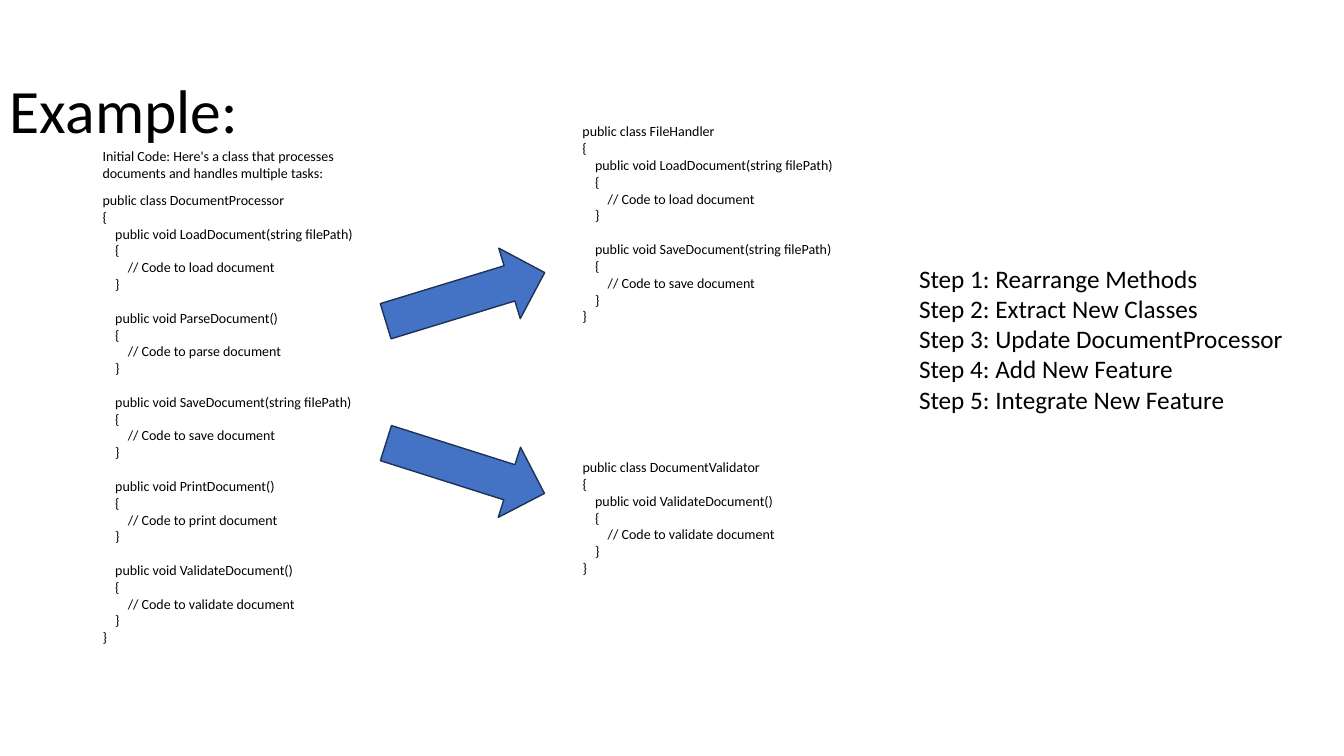
from pptx import Presentation
from pptx.dml.color import RGBColor
from pptx.enum import shapes, text
from pptx.util import Pt

# Content
TITLE = "Example:"
INTRO = "Initial Code: Here's a class that processes documents and handles multiple tasks:"
LOAD = ("LoadDocument(string filePath)", "load")
PARSE = ("ParseDocument()", "parse")
SAVE = ("SaveDocument(string filePath)", "save")
PRINT = ("PrintDocument()", "print")
VALIDATE = ("ValidateDocument()", "validate")
# class name, methods, box (left, top, width, height)
CLASSES = [
    ("DocumentProcessor", [LOAD, PARSE, SAVE, PRINT, VALIDATE], (66.2, 133.2, 224.6, 334)),
    ("FileHandler", [LOAD, SAVE], (409, 84.2, 208.8, 152.6)),
    ("DocumentValidator", [VALIDATE], (409, 324, 179.3, 92.2)),
]
STEPS = [
    "Rearrange Methods",
    "Extract New Classes",
    "Update DocumentProcessor",
    "Add New Feature",
    "Integrate New Feature",
]
ARROWS = [(185.8, 343), (308.2, 17.6)]  # top, rotation

FONT = "Calibri"
BLACK = RGBColor(0x00, 0x00, 0x00)
BLUE = RGBColor(0x44, 0x72, 0xC4)
NAVY = RGBColor(0x1E, 0x32, 0x56)
CODE_SIZE = 10
METHOD_GAP = 12  # one line of code

prs = Presentation()
prs.slide_width, prs.slide_height = Pt(960), Pt(540)
s = prs.slides.add_slide(prs.slide_layouts[6])


def add_text(box, lines, size):
    """Add a text box with one paragraph per line."""
    tf = s.shapes.add_textbox(*map(Pt, box)).text_frame
    tf.word_wrap = True
    for i, line in enumerate(lines):
        p = tf.paragraphs[0] if i == 0 else tf.add_paragraph()
        p.text = line
        p.font.name, p.font.size = FONT, Pt(size)
        p.font.color.rgb = BLACK
    return tf


def class_lines(name, methods):
    lines = [f"public class {name}", "{"]
    for signature, task in methods:
        lines += [
            f"    public void {signature}",
            "    {",
            f"        // Code to {task} document",
            "    }",
        ]
    return lines + ["}"]


# Title and introduction
tf = add_text((0, 28.8, 828, 104.4), [TITLE], 44)
tf.vertical_anchor = text.MSO_ANCHOR.MIDDLE
tf.paragraphs[0].line_spacing = 0.9
add_text((66.2, 101.7, 203, 31.5), [INTRO], CODE_SIZE)

# Code of each class, with a gap before every method but the first
for name, methods, box in CLASSES:
    tf = add_text(box, class_lines(name, methods), CODE_SIZE)
    for p in tf.paragraphs[6:-1:4]:
        p.space_before = Pt(METHOD_GAP)

# Arrows to the extracted classes
for top, rotation in ARROWS:
    sp = s.shapes.add_shape(shapes.MSO_SHAPE.RIGHT_ARROW, Pt(272.9), Pt(top), Pt(118.8), Pt(52.6))
    sp.rotation = rotation
    sp.shadow.inherit = False
    sp.fill.solid()
    sp.fill.fore_color.rgb = BLUE
    sp.line.color.rgb = NAVY
    sp.line.width = Pt(1)

# Steps
add_text((649.4, 184.3, 297.4, 116.6), [f"Step {n}: {step}" for n, step in enumerate(STEPS, 1)], 18)

prs.save("out.pptx")
